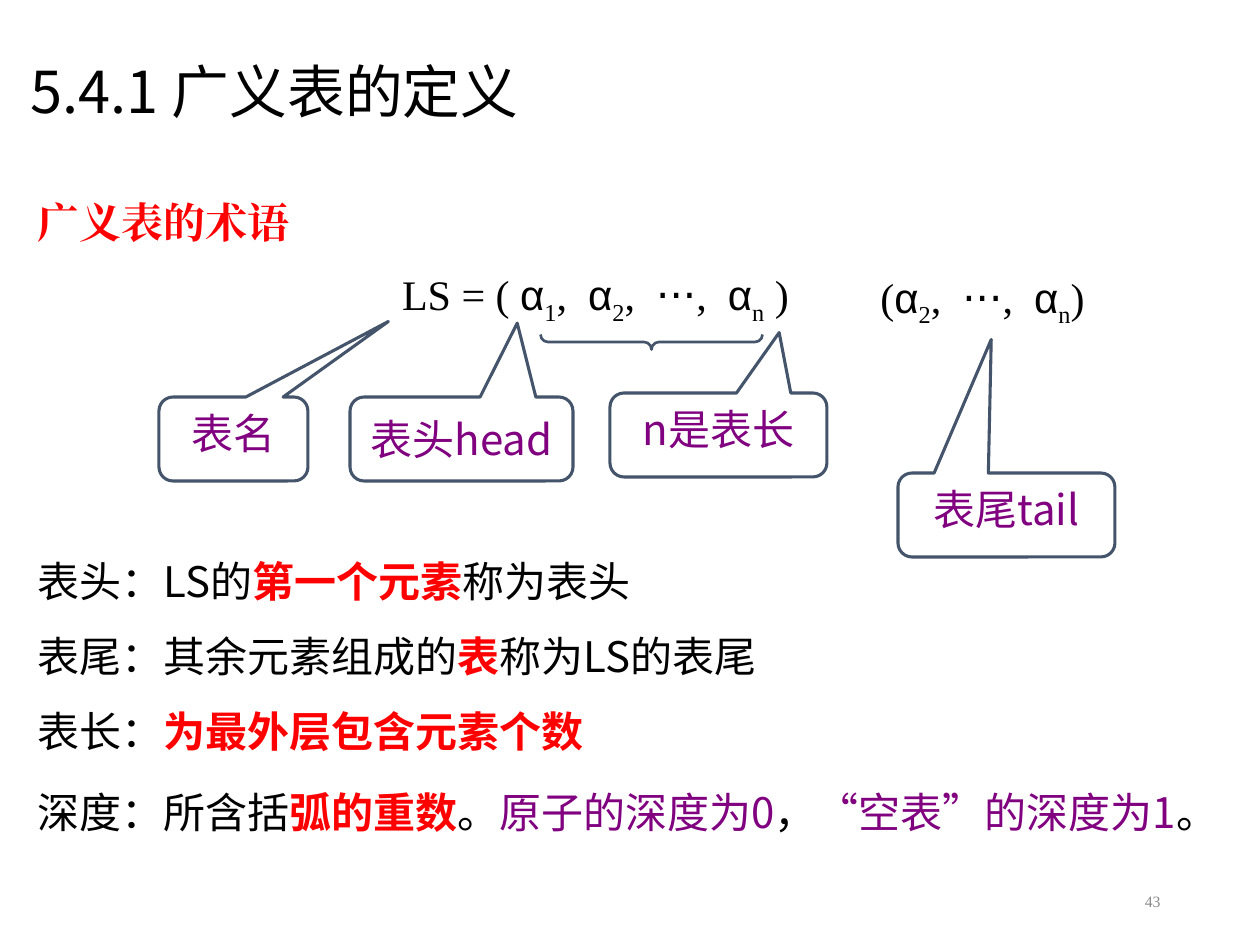
from lxml.etree import SubElement
from pptx import Presentation
from pptx.dml.color import RGBColor
from pptx.enum.shapes import MSO_SHAPE
from pptx.enum.text import MSO_ANCHOR, MSO_AUTO_SIZE, PP_ALIGN
from pptx.oxml.ns import qn
from pptx.util import Emu, Pt

SCALE = 914400 / 126  # EMU in one px
SANS, SERIF, GREEK = "Noto Sans CJK SC", "Times New Roman", "Arial"
BLACK, RED, PURPLE, SLATE, GREY = "000000", "FF0000", "800080", "44546A", "898989"

# Text styles: font, colour, bold, baseline in 1/1000 percent
STYLES = {
    "plain": (SANS, BLACK, False, 0),
    "key": (SANS, RED, True, 0),
    "note": (SANS, PURPLE, False, 0),
    "heading": (SERIF, RED, True, 0),
    "math": (SERIF, BLACK, False, 0),
    "sub": (SERIF, BLACK, False, -25000),
    "greek": (GREEK, BLACK, False, 0),
    "page number": (SERIF, GREY, False, 0),
}


def px(*lengths):
    return [Emu(round(length * SCALE)) for length in lengths]


def write(para, spans, size=24):
    """Style the paragraph like its first span; later spans override it."""
    para.font.size = Pt(size)
    base = spans[0][1]
    targets = [(para.font, base)]
    for text, style in spans:
        span = para.add_run()
        span.text = text
        if style != base:
            targets.append((span.font, style))
    for font, style in targets:
        name, colour, bold, baseline = STYLES[style]
        font.name, font.bold = name, bold
        font.color.rgb = RGBColor.from_string(colour)
        SubElement(font._rPr, qn("a:ea"), typeface=name)
        if baseline:
            font._rPr.set("baseline", str(baseline))


deck = Presentation()
deck.slide_width, deck.slide_height = px(1260, 945)
page = deck.slides.add_slide(deck.slide_layouts[5])

# Title
title = page.shapes.title
title.left, title.top, title.width, title.height = px(18, 3, 1086, 183)
title.text_frame.auto_size = MSO_AUTO_SIZE.NONE
title.text_frame.vertical_anchor = MSO_ANCHOR.MIDDLE
para = title.text_frame.paragraphs[0]
para.alignment, para.line_spacing = PP_ALIGN.LEFT, 0.9
write(para, [("5.4.1 广义表的定义", "plain")], 33)

# Heading, formulas and page number
tail = [("α", "greek"), ("2", "sub"), (",  ", "math"), ("⋅⋅⋅", "greek"),
        (",  ", "math"), ("α", "greek"), ("n", "sub")]
whole = [("LS = ( ", "math"), ("α", "greek"), ("1", "sub"), (",  ", "math"),
         *tail, (" )", "math")]
lines = [
    ((25, 185, 1201, 68), [("广义表的术语", "heading")], PP_ALIGN.LEFT, 1.1, 24),
    ((87, 251, 1017, 82), whole, PP_ALIGN.CENTER, 1.2, 24),
    ((868, 265, 266, 71), [("(", "math"), *tail, (")", "math")], PP_ALIGN.LEFT, 1.0, 24),
    ((890, 876, 283, 50), [("43", "page number")], PP_ALIGN.RIGHT, 1.0, 9),
]
for place, spans, align, spacing, size in lines:
    box = page.shapes.add_textbox(*px(*place))
    box.text_frame.word_wrap = True
    if size == 9:
        box.text_frame.vertical_anchor = MSO_ANCHOR.MIDDLE
    para = box.text_frame.paragraphs[0]
    para.alignment, para.line_spacing = align, spacing
    if spans[0][1] == "heading":
        para.space_before = Pt(3)
    write(para, spans, size)

# Callouts: label, left, top, width, pointer tip, side inset, anchor
callouts = [
    ("表头head", 350, 397, 223, (0.25, -1.38), 0, MSO_ANCHOR.MIDDLE),
    ("表名", 159, 397, 149, (1.04, -1.4), 13, MSO_ANCHOR.TOP),
    ("表尾tail", 898, 473, 217, (-0.07, -2.09), 0, MSO_ANCHOR.TOP),
    ("n是表长", 610, 393, 217, (0.28, -1.22), 13, MSO_ANCHOR.TOP),
]
for label, left, top, width, tip, inset, anchor in callouts:
    callout = page.shapes.add_shape(
        MSO_SHAPE.ROUNDED_RECTANGULAR_CALLOUT, *px(left, top, width, 84))
    callout.adjustments[0], callout.adjustments[1] = tip
    callout.shadow.inherit = False
    callout.fill.background()
    callout.line.color.rgb = RGBColor.from_string(SLATE)
    callout.line.width = Pt(1.75)
    frame = callout.text_frame
    frame.word_wrap, frame.vertical_anchor = True, anchor
    frame.margin_left, frame.margin_right = px(inset, inset)
    para = frame.paragraphs[0]
    para.alignment = PP_ALIGN.CENTER
    write(para, [(label, "note")])

# Brace under the elements, turned to point down
brace = page.shapes.add_shape(MSO_SHAPE.LEFT_BRACE, *px(644, 231, 15, 222))
brace.rotation = 270
brace.adjustments[0] = 0.5
brace.shadow.inherit = False
brace.fill.background()
brace.line.color.rgb = RGBColor.from_string(SLATE)
brace.line.width = Pt(1.5)

# Definitions
definitions = [
    [("表头：LS的", "plain"), ("第一个元素", "key"), ("称为表头", "plain")],
    [("表尾：其余元素组成的", "plain"), ("表", "key"), ("称为LS的表尾", "plain")],
    [("表长：", "plain"), ("为最外层包含元素个数", "key")],
    [("深度：所含括", "plain"), ("弧的重数", "key"), ("。", "plain"),
     ("原子的深度为0", "note"), ("，", "plain"),
     ("“空表”的深度为1", "note"), ("。", "plain")],
]
for row, spans in enumerate(definitions):
    last = row == len(definitions) - 1
    box = page.shapes.add_textbox(*px(25, 555 + 75 * row, 1264 if last else 1201, 60))
    box.text_frame.word_wrap = True
    para = box.text_frame.paragraphs[0]
    if not last:
        para.line_spacing, para.space_before = 0.9, Pt(6)
    write(para, spans)

deck.save("out.pptx")
